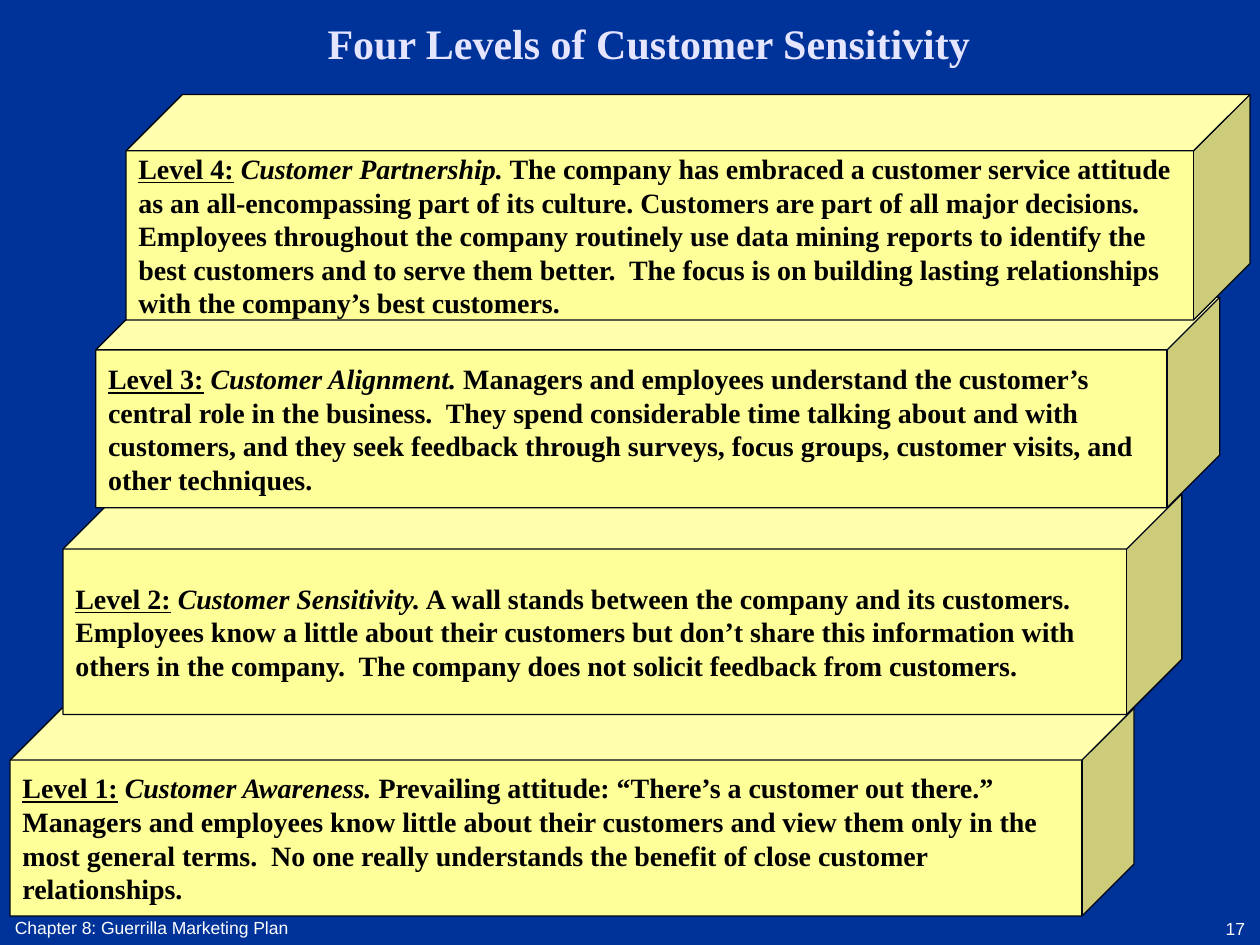
from dataclasses import dataclass

from pptx import Presentation
from pptx.dml.color import RGBColor
from pptx.enum import shapes, text
from pptx.util import Inches, Pt


@dataclass(frozen=True)
class Theme:
    background: str = "003399"
    heading: str = "E5E5FF"
    block: str = "FFFF99"
    outline: str = "000514"
    ink: str = "000000"
    footer: str = "FFFFFF"
    serif: str = "Times New Roman"
    sans: str = "Arial"
    title_size: int = 24
    body_size: int = 16
    footer_size: int = 10


THEME = Theme()
TITLE_STYLE = dict(name=THEME.serif, size=Pt(THEME.title_size), bold=True)
BODY_STYLE = dict(name=THEME.serif, size=Pt(THEME.body_size), bold=True)
FOOTER_STYLE = dict(name=THEME.sans, size=Pt(THEME.footer_size))

# Back to front: box, name, lines of the description
LEVELS = [
    ((0.08, 5.62, 8.92, 1.65), "Customer Awareness.", [
        " Prevailing attitude: “There’s a customer out there.”",
        "Managers and employees know little about their customers and view them only in the",
        "most general terms.  No one really understands the benefit of close customer ",
        "relationships."]),
    ((0.5, 3.92, 8.88, 1.75), "Customer Sensitivity.", [
        " A wall stands between the company and its customers.",
        "Employees know a little about their customers but don’t share this information with",
        "others in the company.  The company does not solicit feedback from customers."]),
    ((0.76, 2.36, 8.92, 1.67), "Customer Alignment.", [
        " Managers and employees understand the customer’s ",
        "central role in the business.  They spend considerable time talking about and with",
        "customers, and they seek feedback through surveys, focus groups, customer visits, and",
        "other techniques."]),
    ((1, 0.75, 8.92, 1.79), "Customer Partnership.", [
        " The company has embraced a customer service attitude",
        "as an all-encompassing part of its culture. Customers are part of all major decisions. ",
        "Employees throughout the company routinely use data mining reports to identify the ",
        "best customers and to serve them better.  The focus is on building lasting relationships",
        "with the company’s best customers."]),
]


def set_all(target, values):
    for name, value in values.items():
        setattr(target, name, value)


def add_span(para, words, color, style, **extra):
    span = para.add_run()
    span.text = words
    set_all(span.font, {**style, **extra})
    span.font.color.rgb = RGBColor.from_string(color)


def prepare_text(box, anchor, align, wrap=True):
    """Set the frame's layout and return its first paragraph."""
    set_all(box.text_frame, dict(
        word_wrap=wrap, vertical_anchor=anchor, auto_size=text.MSO_AUTO_SIZE.NONE))
    para = box.text_frame.paragraphs[0]
    para.alignment = align
    return para


def add_title(page, words):
    title = page.shapes.title
    set_all(title, dict(left=Inches(2.5), top=Inches(0),
                        width=Inches(5.58), height=Inches(0.67)))
    para = prepare_text(title, text.MSO_ANCHOR.MIDDLE, text.PP_ALIGN.LEFT)
    add_span(para, words, THEME.heading, TITLE_STYLE)


def add_level(page, number, place, name, lines):
    cube = page.shapes.add_shape(shapes.MSO_SHAPE.CUBE, *map(Inches, place))
    cube.adjustments[0] = 0.25
    cube.shadow.inherit = False
    cube.fill.solid()
    cube.fill.fore_color.rgb = RGBColor.from_string(THEME.block)
    cube.line.color.rgb = RGBColor.from_string(THEME.outline)
    cube.line.width = Pt(0.75)

    para = prepare_text(cube, text.MSO_ANCHOR.MIDDLE, text.PP_ALIGN.LEFT, wrap=False)
    add_span(para, f"Level {number}:", THEME.ink, BODY_STYLE, underline=True)
    add_span(para, " ", THEME.ink, BODY_STYLE)
    add_span(para, name, THEME.ink, BODY_STYLE, italic=True)
    for index, line in enumerate(lines):
        if index:
            para.add_line_break()
        add_span(para, line, THEME.ink, BODY_STYLE)


def add_footer(page, place, words, align):
    box = page.shapes.add_textbox(*map(Inches, place))
    para = prepare_text(box, text.MSO_ANCHOR.BOTTOM, align)
    add_span(para, words, THEME.footer, FOOTER_STYLE)


def main():
    deck = Presentation()
    set_all(deck, dict(slide_width=Inches(10), slide_height=Inches(7.5)))
    page = deck.slides.add_slide(deck.slide_layouts.get_by_name("Title Only"))
    page.background.fill.solid()
    page.background.fill.fore_color.rgb = RGBColor.from_string(THEME.background)

    add_title(page, "Four Levels of Customer Sensitivity")
    for number, level in enumerate(LEVELS, start=1):
        add_level(page, number, *level)
    add_footer(page, (0.02, 6.97, 3.17, 0.52),
               "Chapter 8: Guerrilla Marketing Plan", text.PP_ALIGN.LEFT)
    add_footer(page, (7.65, 6.98, 2.33, 0.52), "17", text.PP_ALIGN.RIGHT)
    deck.save("out.pptx")


if __name__ == "__main__":
    main()
